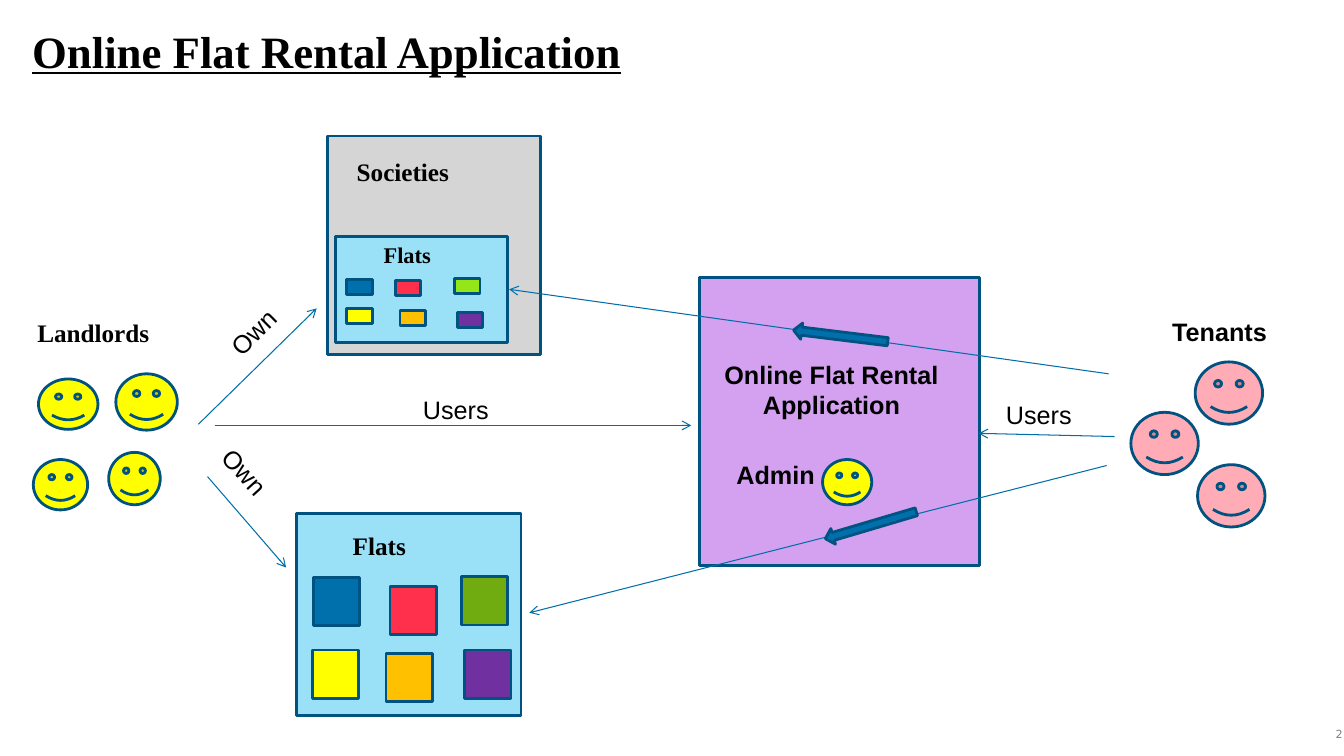
"""Build the Online Flat Rental Application overview slide."""
from lxml import etree
from pptx import Presentation
from pptx.dml.color import RGBColor
from pptx.enum.shapes import MSO_CONNECTOR, MSO_SHAPE as Shape
from pptx.enum.text import MSO_ANCHOR, PP_ALIGN as Align
from pptx.oxml.ns import qn
from pptx.util import Cm, Pt

SERIF, SANS = "Times New Roman", "Arial"
OUTLINE, BLUE, YELLOW, PINK, SKY = "005380", "0070AD", "FFFF00", "FFACB7", "9AE1F7"


def paint(color_format, color):
    color_format.rgb = RGBColor.from_string(color)


def add_figure(kind, left, top, width, height, color, rotation=0):
    figure = page.shapes.add_shape(kind, Cm(left), Cm(top), Cm(width), Cm(height))
    figure.shadow.inherit = False
    figure.fill.solid()
    paint(figure.fill.fore_color, color)
    paint(figure.line.color, OUTLINE)
    figure.line.width = Pt(2)
    figure.rotation = rotation


deck = Presentation()
deck.slide_width, deck.slide_height = Cm(33.87), Cm(19.05)
page = deck.slides.add_slide(deck.slide_layouts[6])

panels = [
    (8.26, 3.43, 5.36, 5.51, "D5D5D5"),
    (8.46, 5.97, 4.34, 2.67, SKY),
    (7.47, 12.95, 5.66, 5.08, SKY),
    (17.63, 6.99, 7.06, 7.26, "D4A1F0"),
]
for panel in panels:
    add_figure(Shape.RECTANGLE, *panel)

faces = [
    (0.97, 9.55, 1.5, 1.27, YELLOW),
    (2.92, 9.42, 1.55, 1.42, YELLOW),
    (0.84, 11.58, 1.37, 1.27, YELLOW),
    (2.74, 11.4, 1.3, 1.32, YELLOW),
    (30.12, 9.12, 1.7, 1.57, PINK),
    (28.5, 10.39, 1.7, 1.57, PINK),
    (30.18, 11.71, 1.7, 1.57, PINK),
    (20.73, 11.58, 1.24, 1.14, YELLOW),
]
for face in faces:
    add_figure(Shape.SMILEY_FACE, *face)

society_flats = [(8.74, 7.04), (9.96, 7.06), (11.46, 7.01),
                 (8.74, 7.77), (10.08, 7.82), (11.53, 7.87)]
separate_flats = [(7.9, 14.55), (9.83, 14.78), (11.63, 14.53),
                  (7.87, 16.38), (9.73, 16.46), (11.71, 16.38)]
for flats, width, height, green in [(society_flats, 0.64, 0.38, "95E616"),
                                    (separate_flats, 1.17, 1.22, "70AC10")]:
    flat_colors = [BLUE, "FF304C", green, YELLOW, "FFC000", "7030A0"]
    for (left, top), color in zip(flats, flat_colors):
        add_figure(Shape.RECTANGLE, left, top, width, height, color)

routes = [
    (5, 10.69, 7.98, 7.77),
    (5.23, 12.01, 7.21, 14.3),
    (5.41, 10.72, 17.42, 10.72),
    (28.09, 11, 24.66, 10.92),
    (27.94, 9.42, 12.83, 7.29),
    (27.89, 11.73, 13.34, 15.44),
]
for route in routes:
    arrow = page.shapes.add_connector(MSO_CONNECTOR.STRAIGHT, *map(Cm, route))
    paint(arrow.line.color, "006EA9")
    arrow.line.width = Pt(0.75)
    etree.SubElement(arrow.line._get_or_add_ln(), qn("a:tailEnd"), type="arrow")
    etree.SubElement(arrow._element.spPr, qn("a:effectLst"))

for left, top, rotation in [(19.99, 8.26, 187), (20.75, 13.03, 163.5)]:
    add_figure(Shape.RIGHT_ARROW, left, top, 2.39, 0.41, BLUE, rotation)

labels = [
    ("Landlords", 0.69, 7.87, 4.34, SERIF, 18, True, 0),
    ("Societies", 8.74, 3.81, 4.72, SERIF, 18, True, 0),
    ("Flats", 9.42, 5.94, 4.72, SERIF, 16, True, 0),
    ("Flats", 8.64, 13.23, 4.72, SERIF, 18, True, 0),
    ("Own", 5.36, 7.57, 2.62, SANS, 18, False, 315.2),
    ("Own", 5.13, 11.68, 2.62, SANS, 18, False, 47.7),
    ("Users", 10.41, 9.8, 2.46, SANS, 18, False, 0),
    ("Users", 25.1, 9.93, 2.46, SANS, 18, False, 0),
    ("Tenants", 29.29, 7.85, 3.66, SANS, 18, True, 0),
    ("Admin", 18.31, 11.46, 3.66, SANS, 18, True, 0),
]


def add_text(text, left, top, width, font, size, bold, rotation=0, height=1.02, color="000000"):
    box = page.shapes.add_textbox(Cm(left), Cm(top), Cm(width), Cm(height))
    box.rotation = rotation
    box.text_frame.word_wrap = True
    para = box.text_frame.paragraphs[0]
    para.text = text
    para.font.name, para.font.size, para.font.bold = font, Pt(size), bold
    paint(para.font.color, color)
    return box.text_frame, para


for label in labels:
    add_text(*label)

name = "Online Flat Rental Application"
frame, para = add_text(name, 17.22, 8.92, 7.47, SANS, 18, True, height=1.8)
para.alignment = Align.CENTER

frame, para = add_text(name, 0.81, 0.74, 16.94, SERIF, 32, True, height=1.22)
frame.margin_left = frame.margin_right = frame.margin_top = frame.margin_bottom = 0
frame.vertical_anchor = MSO_ANCHOR.MIDDLE
para.line_spacing = 0.9
para.font.underline = True

frame, para = add_text("2", 31.8, 18.21, 2.04, "DejaVu Sans", 8, False, height=0.58, color="808080")
frame.margin_right = 0
para.alignment = Align.RIGHT

deck.save("out.pptx")
